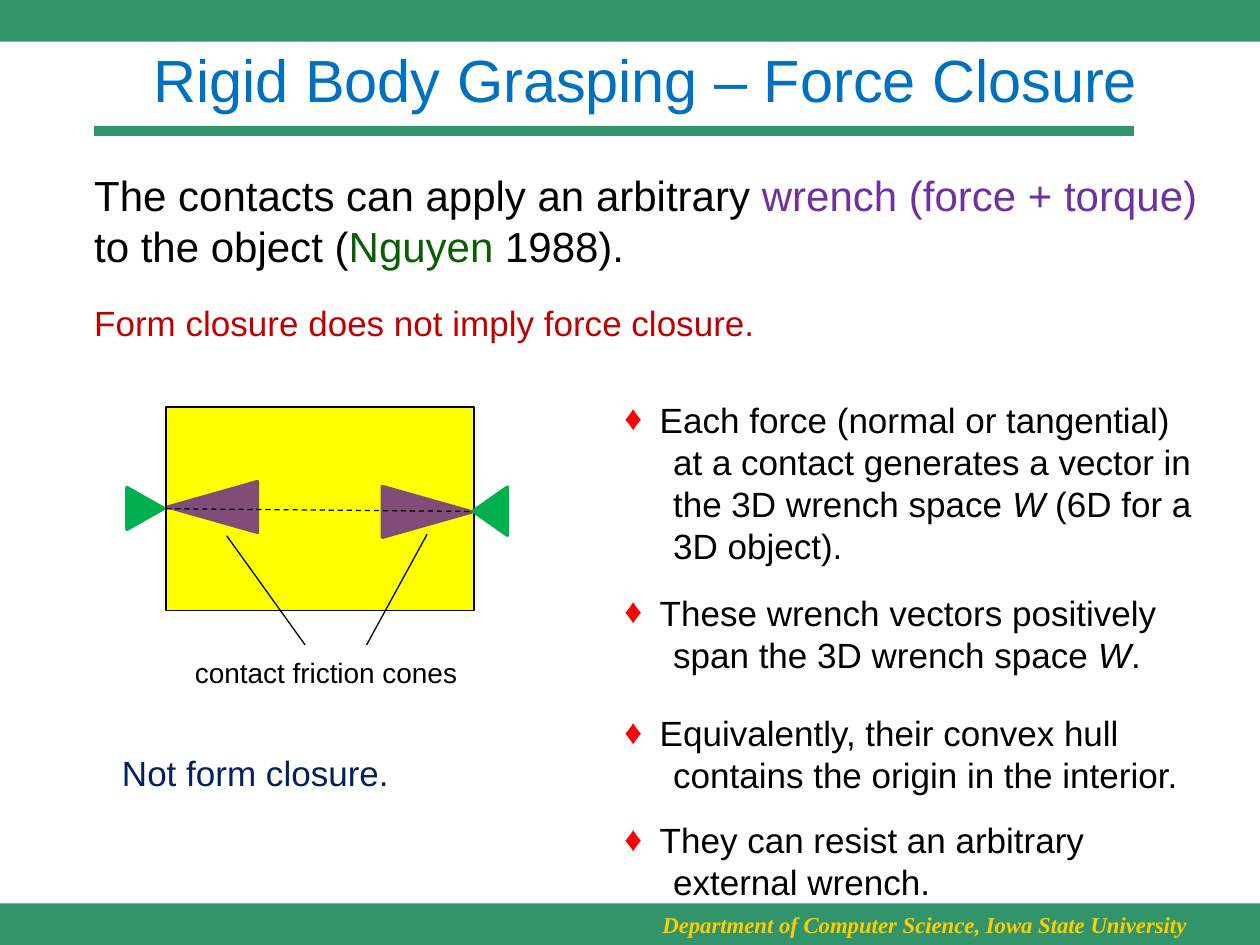
import dataclasses

import lxml.etree
import pptx
import pptx.dml.color
import pptx.enum.dml
import pptx.enum.shapes
import pptx.enum.text
import pptx.oxml.ns
import pptx.util

Cm = pptx.util.Cm
Pt = pptx.util.Pt
qn = pptx.oxml.ns.qn
SHAPE = pptx.enum.shapes.MSO_SHAPE
ALIGN = pptx.enum.text.PP_ALIGN
ANCHOR = pptx.enum.text.MSO_ANCHOR


@dataclasses.dataclass(frozen=True)
class Theme:
    sans: str = "Arial"
    serif: str = "Times New Roman"
    black: str = "000000"
    bar: str = "32946A"
    gold: str = "FFCC00"
    title: str = "0070C0"
    wrench: str = "7030A0"
    author: str = "095E02"
    warning: str = "C00000"
    navy: str = "002060"
    bullet: str = "FF0000"
    body: str = "FFFF00"
    finger: str = "00B050"
    cone: str = "7F4D78"
    title_size: int = 34
    lead_size: int = 24
    text_size: int = 20
    label_size: int = 16
    footer_size: int = 13


T = Theme()


def rgb(value):
    return pptx.dml.color.RGBColor.from_string(value)


def add_run(p, text, size, color=T.black, font=T.sans, bold=False, italic=False):
    r = p.add_run()
    r.text = text
    r.font.size = Pt(size)
    r.font.name = font
    r.font.color.rgb = rgb(color)
    r.font.bold = bold
    r.font.italic = italic


def add_frame(s, left, top, width, height):
    tf = s.shapes.add_textbox(Cm(left), Cm(top), Cm(width), Cm(height)).text_frame
    tf.word_wrap = True
    return tf


def add_line_of_text(s, box, text, size, color, align=ALIGN.LEFT, **style):
    tf = add_frame(s, *box)
    tf.vertical_anchor = ANCHOR.MIDDLE
    p = tf.paragraphs[0]
    p.alignment = align
    add_run(p, text, size, color, **style)


def add_shape(s, kind, box, fill, line=None, weight=1, rotation=0):
    sp = s.shapes.add_shape(kind, *(Cm(v) for v in box))
    sp.shadow.inherit = False
    sp.rotation = rotation
    sp.fill.solid()
    sp.fill.fore_color.rgb = rgb(fill)
    if line:
        sp.line.color.rgb = rgb(line)
        sp.line.width = Pt(weight)
    else:
        sp.line.fill.background()
    return sp


def add_line(s, x1, y1, x2, y2, dashed=False):
    line = s.shapes.add_connector(
        pptx.enum.shapes.MSO_CONNECTOR.STRAIGHT, Cm(x1), Cm(y1), Cm(x2), Cm(y2))
    line.line.color.rgb = rgb(T.black)
    line.line.width = Pt(0.75)
    if dashed:
        line.line.dash_style = pptx.enum.dml.MSO_LINE.DASH
    lxml.etree.SubElement(line._element.spPr, qn("a:effectLst"))
    return line


def set_bullet(p):
    pPr = p._p.get_or_add_pPr()
    pPr.set("marL", str(Cm(0.71)))
    pPr.set("indent", str(-Cm(0.71)))
    color = lxml.etree.SubElement(pPr, qn("a:buClr"))
    lxml.etree.SubElement(color, qn("a:srgbClr"), val=T.bullet)
    lxml.etree.SubElement(pPr, qn("a:buFont"), typeface=T.serif)
    lxml.etree.SubElement(pPr, qn("a:buChar"), char="♦")


def add_bullet(s, top, lines):
    tf = add_frame(s, 12.34, top, 12.6, 0.25 + 0.85 * len(lines))
    for i, parts in enumerate(lines):
        p = tf.paragraphs[0] if i == 0 else tf.add_paragraph()
        if i == 0:
            set_bullet(p)
        else:
            p._p.get_or_add_pPr().set("marL", str(Cm(0.98)))
        for text in parts:
            add_run(p, text, T.text_size, italic=text.strip() == "W")


def add_frame_bars(s):
    for box in ((0, 18.21, 25.4, 0.84), (0, 0, 25.4, 0.84), (1.9, 2.54, 20.96, 0.2)):
        add_shape(s, SHAPE.RECTANGLE, box, T.bar)
    add_line_of_text(s, (13.03, 18.24, 11.2, 0.81),
                     "Department of Computer Science, Iowa State University",
                     T.footer_size, T.gold, ALIGN.CENTER,
                     font=T.serif, bold=True, italic=True)


def add_lead(s):
    tf = add_frame(s, 1.65, 3.3, 23.4, 2.31)
    lines = (
        (("The contacts can apply an arbitrary ", T.black),
         ("wrench (force + torque)", T.wrench)),
        (("to the object (", T.black), ("Nguyen", T.author), (" 1988).", T.black)),
    )
    for i, runs in enumerate(lines):
        p = tf.paragraphs[0] if i == 0 else tf.add_paragraph()
        for text, color in runs:
            add_run(p, text, T.lead_size, color)


def add_grasp(s):
    triangles = (
        ((9.4, 9.96, 0.97, 0.69), 270, T.finger),
        ((2.51, 9.88, 0.84, 0.74), 90, T.finger),
        ((3.78, 9.32, 1.02, 1.8), 270, T.cone),
        ((8.1, 9.42, 1.02, 1.8), 90, T.cone),
    )
    body = add_shape(s, SHAPE.RECTANGLE, (3.35, 8.2, 6.2, 4.11), T.body, T.black)
    for box, rotation, color in triangles:
        add_shape(s, SHAPE.ISOSCELES_TRIANGLE, box, color, color, 2, rotation)
    axis = add_line(s, 3.35, 10.25, 9.5, 10.31, dashed=True)
    axis.begin_connect(body, 1)
    add_line(s, 4.57, 10.8, 6.15, 13)
    add_line(s, 7.39, 13, 8.61, 10.77)
    add_line_of_text(s, (3.68, 13.08, 6.1, 0.94), "contact friction cones",
                     T.label_size, T.black)


def main():
    prs = pptx.Presentation()
    prs.slide_width, prs.slide_height = Cm(25.4), Cm(19.05)
    s = prs.slides.add_slide(prs.slide_layouts[6])
    add_frame_bars(s)
    add_line_of_text(s, (1.9, 0, 22.23, 3.18), "Rigid Body Grasping – Force Closure",
                     T.title_size, T.title, ALIGN.CENTER)
    add_lead(s)
    add_line_of_text(s, (1.65, 5.94, 14.2, 1.12),
                     "Form closure does not imply force closure.",
                     T.text_size, T.warning)
    add_grasp(s)
    add_line_of_text(s, (2.21, 15.01, 6.2, 1.12), "Not form closure.",
                     T.text_size, T.navy)
    bullets = (
        (7.9, (("Each force (normal or tangential)",),
               ("at a contact generates a vector in",),
               ("the 3D wrench space ", "W ", "(6D for a"),
               ("3D object).",))),
        (11.79, (("These wrench vectors positively",),
                 ("span the 3D wrench space ", "W", "."))),
        (14.22, (("Equivalently, their convex hull",),
                 ("contains the origin in the interior.",))),
        (16.38, (("They can resist an arbitrary",), ("external wrench.",))),
    )
    for top, lines in bullets:
        add_bullet(s, top, lines)
    prs.save("out.pptx")


if __name__ == "__main__":
    main()
